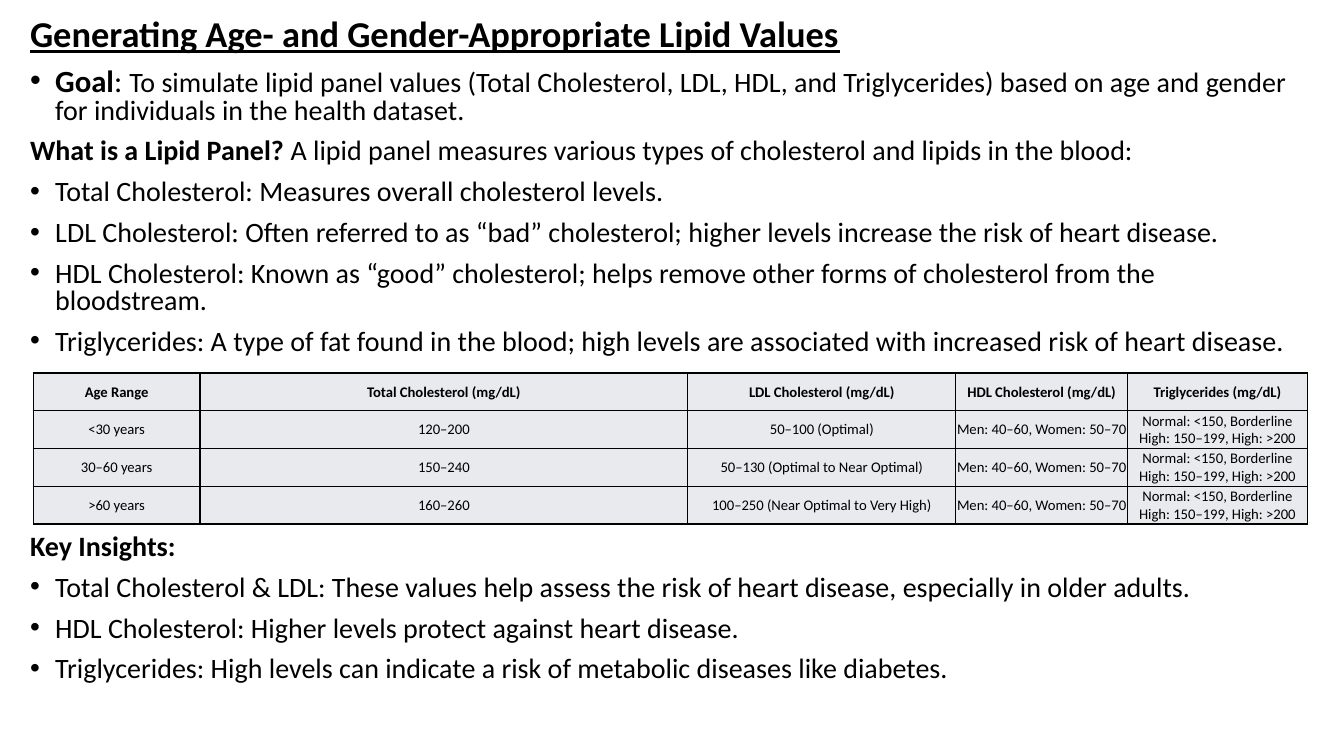
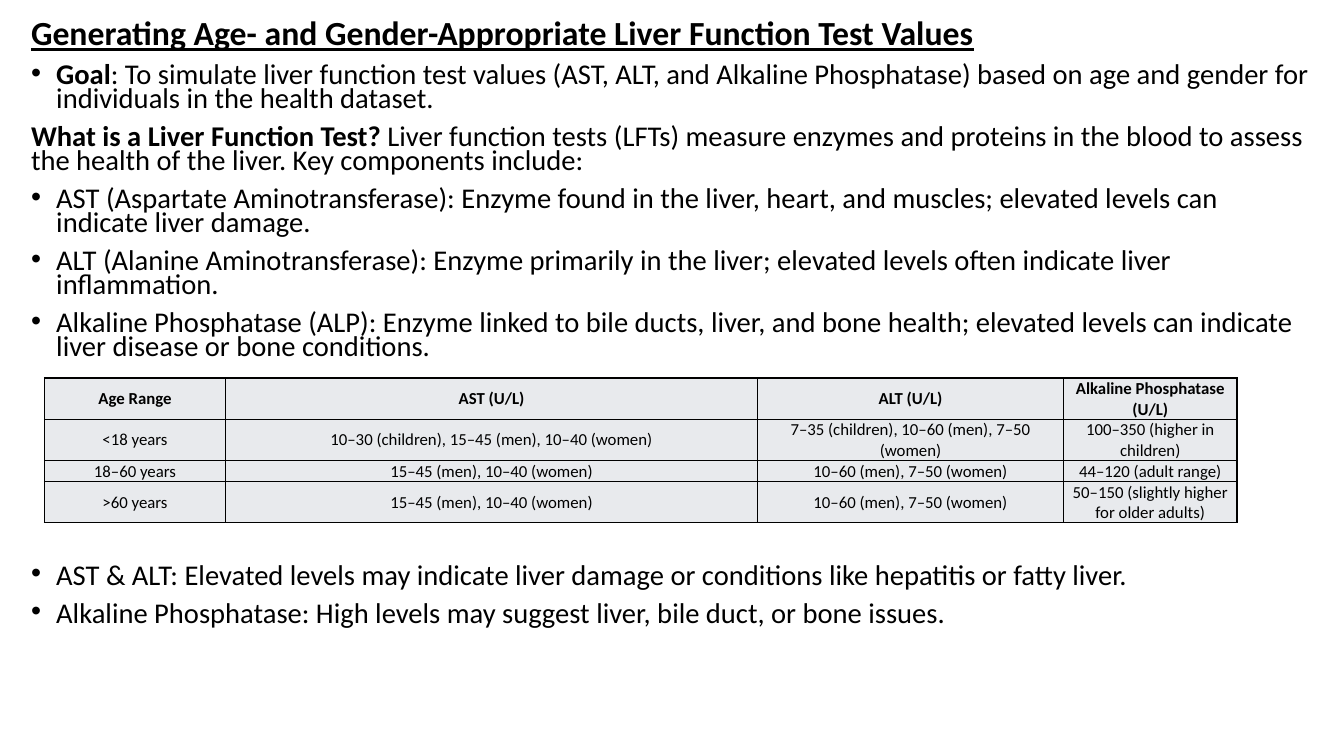
from dataclasses import dataclass

from lxml import etree
from pptx import Presentation
from pptx import util as u
from pptx.dml.color import RGBColor
from pptx.enum import text
from pptx.oxml import ns


@dataclass(frozen=True)
class TypeScale:
    title: float
    lead: float
    body: float
    table: float
    line_spacing: float


@dataclass(frozen=True)
class Theme:
    font: str = "Calibri"
    ink: str = "000000"
    cell: str = "E8EAED"
    border: float = 1
    gap: float = 10
    indent: float = 18
    cell_inset: float = 0.5
    lipid: TypeScale = TypeScale(26, 22, 20, 10.5, 0.8)
    liver: TypeScale = TypeScale(24.1, 20.4, 20.4, 12, 0.7)


THEME = Theme()


@dataclass(frozen=True)
class Para:
    body: str
    lead: str = ""  # bold opening words
    colon: str = ""  # plain text at the size of the lead
    bullet: bool = True
    large_lead: bool = False
    space_before: float = THEME.gap


@dataclass(frozen=True)
class Table:
    left: float
    top: float
    columns: tuple[float, ...]
    heights: tuple[float, ...]
    rows: tuple[tuple[str, ...], ...]


@dataclass(frozen=True)
class Topic:
    title: str
    box: tuple[float, float, float, float]
    sizes: TypeScale
    paras: tuple[Para, ...]
    table: Table


HDL_RANGE = "Men: 40–60, Women: 50–70"
TRIGLYCERIDE_RANGE = "Normal: <150, Borderline High: 150–199, High: >200"
ADULT_AST = "15–45 (men), 10–40 (women)"
ADULT_ALT = "10–60 (men), 7–50 (women)"

TOPICS = (
    Topic(
        "Generating Age- and Gender-Appropriate Lipid Values",
        (14.4, 10.8, 928.8, 510),
        THEME.lipid,
        (
            Para("To simulate lipid panel values (Total Cholesterol, LDL, HDL, and Triglycerides) "
                 "based on age and gender for individuals in the health dataset.",
                 lead="Goal", colon=": ", large_lead=True),
            Para("A lipid panel measures various types of cholesterol and lipids in the blood:",
                 lead="What is a Lipid Panel? ", bullet=False),
            Para("Total Cholesterol: Measures overall cholesterol levels."),
            Para("LDL Cholesterol: Often referred to as “bad” cholesterol; "
                 "higher levels increase the risk of heart disease."),
            Para("HDL Cholesterol: Known as “good” cholesterol; "
                 "helps remove other forms of cholesterol from the bloodstream."),
            Para("Triglycerides: A type of fat found in the blood; "
                 "high levels are associated with increased risk of heart disease."),
            Para("", lead="Key Insights:", bullet=False, space_before=127),
            Para("Total Cholesterol & LDL: These values help assess the risk of heart disease, "
                 "especially in older adults."),
            Para("HDL Cholesterol: Higher levels protect against heart disease."),
            Para("Triglycerides: High levels can indicate a risk of metabolic diseases like diabetes."),
        ),
        Table(
            23.8, 266.4, (119, 348.5, 191.5, 122.6, 128.5), (27,) * 4,
            (
                ("Age Range", "Total Cholesterol (mg/dL)", "LDL Cholesterol (mg/dL)",
                 "HDL Cholesterol (mg/dL)", "Triglycerides (mg/dL)"),
                ("<30 years", "120–200", "50–100 (Optimal)", HDL_RANGE, TRIGLYCERIDE_RANGE),
                ("30–60 years", "150–240", "50–130 (Optimal to Near Optimal)",
                 HDL_RANGE, TRIGLYCERIDE_RANGE),
                (">60 years", "160–260", "100–250 (Near Optimal to Very High)",
                 HDL_RANGE, TRIGLYCERIDE_RANGE),
            ),
        ),
    ),
    Topic(
        "Generating Age- and Gender-Appropriate Liver Function Test Values",
        (15.1, 13, 928.8, 520),
        THEME.liver,
        (
            Para("To simulate liver function test values (AST, ALT, and Alkaline Phosphatase) "
                 "based on age and gender for individuals in the health dataset.",
                 lead="Goal", colon=": ", large_lead=True),
            Para("Liver function tests (LFTs) measure enzymes and proteins in the blood to assess "
                 "the health of the liver. Key components include:",
                 lead="What is a Liver Function Test? ", bullet=False),
            Para("AST (Aspartate Aminotransferase): Enzyme found in the liver, heart, and muscles; "
                 "elevated levels can indicate liver damage."),
            Para("ALT (Alanine Aminotransferase): Enzyme primarily in the liver; "
                 "elevated levels often indicate liver inflammation."),
            Para("Alkaline Phosphatase (ALP): Enzyme linked to bile ducts, liver, and bone health; "
                 "elevated levels can indicate liver disease or bone conditions."),
            Para("AST & ALT: Elevated levels may indicate liver damage or conditions "
                 "like hepatitis or fatty liver.", space_before=146),
            Para("Alkaline Phosphatase: High levels may suggest liver, bile duct, or bone issues."),
        ),
        Table(
            31.7, 270, (129.5, 380, 218.5, 124), (29.5, 29.5, 14.5, 29.5),
            (
                ("Age Range", "AST (U/L)", "ALT (U/L)", "Alkaline Phosphatase (U/L)"),
                ("<18 years", "10–30 (children), 15–45 (men), 10–40 (women)",
                 "7–35 (children), 10–60 (men), 7–50 (women)", "100–350 (higher in children)"),
                ("18–60 years", ADULT_AST, ADULT_ALT, "44–120 (adult range)"),
                (">60 years", ADULT_AST, ADULT_ALT, "50–150 (slightly higher for older adults)"),
            ),
        ),
    ),
)


def add_run(p, content: str, *, size: float, bold: bool = False, underline: bool = False) -> None:
    r = p.add_run()
    r.text = content
    r.font.name = THEME.font
    r.font.size = u.Pt(size)
    r.font.bold = bold
    r.font.underline = underline
    r.font.color.rgb = RGBColor.from_string(THEME.ink)


def add_bullet(p) -> None:
    indent = u.Pt(THEME.indent)
    pPr = p._p.get_or_add_pPr()
    pPr.set("marL", str(indent))
    pPr.set("indent", str(-indent))
    etree.SubElement(pPr, ns.qn("a:buFont"), typeface="Arial")
    etree.SubElement(pPr, ns.qn("a:buChar"), char="•")


def add_borders(cell) -> None:
    tcPr = cell._tc.get_or_add_tcPr()
    for side in ("lnL", "lnR", "lnT", "lnB"):
        ln = etree.SubElement(tcPr, ns.qn(f"a:{side}"), w=str(u.Pt(THEME.border)))
        fill = etree.SubElement(ln, ns.qn("a:solidFill"))
        etree.SubElement(fill, ns.qn("a:srgbClr"), val=THEME.ink)


def add_body(s, topic: Topic) -> None:
    sizes = topic.sizes
    tf = s.shapes.add_textbox(*map(u.Pt, topic.box)).text_frame
    tf.word_wrap = True
    p = tf.paragraphs[0]
    p.line_spacing = sizes.line_spacing
    add_run(p, topic.title, size=sizes.title, bold=True, underline=True)
    for para in topic.paras:
        p = tf.add_paragraph()
        if para.bullet:
            add_bullet(p)
        p.line_spacing = sizes.line_spacing
        p.space_before = u.Pt(para.space_before)
        lead_size = sizes.lead if para.large_lead else sizes.body
        for content, size, bold in ((para.lead, lead_size, True),
                                    (para.colon, lead_size, False),
                                    (para.body, sizes.body, False)):
            if content:
                add_run(p, content, size=size, bold=bold)


def add_range_table(s, table: Table, size: float) -> None:
    frame = (table.left, table.top, sum(table.columns), sum(table.heights))
    grid = s.shapes.add_table(len(table.rows), len(table.columns), *map(u.Pt, frame)).table
    for column, width in zip(grid.columns, table.columns):
        column.width = u.Pt(width)
    for i, (row, height) in enumerate(zip(table.rows, table.heights)):
        grid.rows[i].height = u.Pt(height)
        for j, content in enumerate(row):
            cell = grid.cell(i, j)
            cell.margin_left = cell.margin_right = cell.margin_top = u.Pt(THEME.cell_inset)
            cell.margin_bottom = 0
            cell.vertical_anchor = text.MSO_ANCHOR.MIDDLE
            add_borders(cell)
            cell.fill.solid()
            cell.fill.fore_color.rgb = RGBColor.from_string(THEME.cell)
            p = cell.text_frame.paragraphs[0]
            p.alignment = text.PP_ALIGN.CENTER
            add_run(p, content, size=size, bold=i == 0)


def main() -> None:
    prs = Presentation()
    prs.slide_width, prs.slide_height = u.Pt(960), u.Pt(540)
    for topic in TOPICS:
        s = prs.slides.add_slide(prs.slide_layouts[6])
        add_body(s, topic)
        add_range_table(s, topic.table, topic.sizes.table)
    prs.save("out.pptx")


if __name__ == "__main__":
    main()
